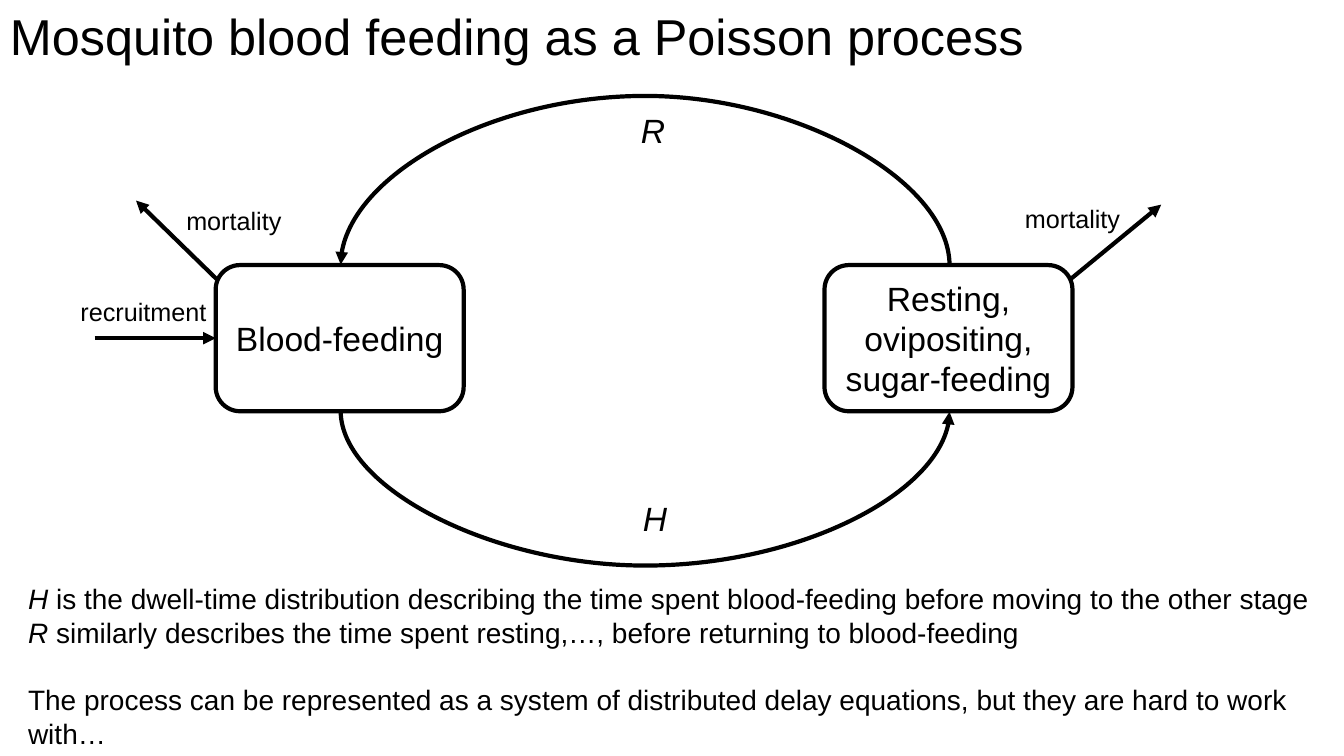
from dataclasses import dataclass

from lxml.etree import SubElement
from pptx import Presentation
from pptx.dml.color import RGBColor
from pptx.enum.shapes import MSO_CONNECTOR as Link, MSO_SHAPE as Preset
from pptx.enum.text import MSO_ANCHOR as Anchor, PP_ALIGN as Align
from pptx.oxml.ns import qn
from pptx.util import Inches, Pt


@dataclass(frozen=True)
class Theme:
    font: str = "Arial"
    ink: RGBColor = RGBColor(0, 0, 0)
    paper: RGBColor = RGBColor(255, 255, 255)
    title: int = 36
    stage: int = 24
    notes: int = 20
    label: int = 18
    stroke: int = 3


@dataclass(frozen=True)
class Box:
    """A region measured in columns and rows of the slide grid."""
    left: float
    top: float
    width: float
    height: float

    def inner(self, x, y, width, height):
        return Box(self.left + x, self.top + y, width, height)

    @property
    def right(self):
        return self.left + self.width

    @property
    def bottom(self):
        return self.top + self.height

    @property
    def center(self):
        return self.left + self.width / 2

    @property
    def middle(self):
        return self.top + self.height / 2

    def emu(self):
        return [cells(v) for v in (self.left, self.top, self.width, self.height)]


THEME = Theme()
COLUMNS, ROWS = 133.33, 75


def cells(count):
    """Length of a number of grid cells, ten to the inch."""
    return Inches(count / 10)


def add_run(paragraph, text, size, italic=False):
    run = paragraph.add_run()
    run.text = text
    font = run.font
    font.name, font.size, font.italic = THEME.font, Pt(size), italic
    font.color.rgb = THEME.ink


def add_text(slide, box, text, size, italic=False, wrap=True):
    frame = slide.shapes.add_textbox(*box.emu()).text_frame
    frame.word_wrap = wrap
    add_run(frame.paragraphs[0], text, size, italic)
    return frame


def add_arrow(slide, start, end, kind=Link.STRAIGHT):
    arrow = slide.shapes.add_connector(kind, *map(cells, (*start, *end)))
    arrow.line.color.rgb = THEME.ink
    arrow.line.width = Pt(THEME.stroke)
    properties = arrow._element.spPr
    SubElement(properties.find(qn("a:ln")), qn("a:tailEnd"), type="triangle")
    SubElement(properties, qn("a:effectLst"))
    return arrow


def add_loop(slide, center, y, span, depth, below):
    """Curve bulging down (left to right) or up (right to left)."""
    drop = 0.1
    left, right = center - drop / 2, center + drop / 2
    top, bottom = y - span / 2, y + span / 2
    start, end = ((right, top), (left, bottom)) if below else ((left, bottom), (right, top))
    properties = add_arrow(slide, start, end, Link.CURVE)._element.spPr
    properties.find(qn("a:xfrm")).set("rot", str(270 * 60000))
    guides = properties.find(qn("a:prstGeom")).find(qn("a:avLst"))
    bulge = round(depth / drop * 100000)
    SubElement(guides, qn("a:gd"), name="adj1", fmla=f"val {bulge}")


def add_stage(slide, box, text):
    stage = slide.shapes.add_shape(Preset.ROUNDED_RECTANGLE, *box.emu())
    stage.shadow.inherit = False
    stage.fill.solid()
    stage.fill.fore_color.rgb = THEME.paper
    stage.line.color.rgb = THEME.ink
    stage.line.width = Pt(THEME.stroke)
    frame = stage.text_frame
    frame.word_wrap = True
    frame.vertical_anchor = Anchor.MIDDLE
    frame.paragraphs[0].alignment = Align.CENTER
    add_run(frame.paragraphs[0], text, THEME.stage)


def add_title(slide, box):
    frame = add_text(slide, box, "Mosquito blood feeding as a Poisson process", THEME.title)
    frame.vertical_anchor = Anchor.MIDDLE
    frame.paragraphs[0].line_spacing = 0.9


def add_cycle(slide, box):
    # Two stages
    feeding = box.inner(14.4, 17.3, 24.6, 14.5)
    resting = box.inner(74.8, 17.3, 24.6, 14.5)
    add_stage(slide, feeding, "Blood-feeding")
    add_stage(slide, resting, "Resting, ovipositing, sugar-feeding")

    # Dwell-time loops between the stages
    center = (feeding.center + resting.center) / 2 + 0.1
    span = resting.left - feeding.left
    add_loop(slide, center, feeding.bottom, span, 15.6, below=True)
    add_loop(slide, center, feeding.top, span, 17.1, below=False)
    add_text(slide, box.inner(55.8, 39.9, 3.8, 5), "H", THEME.stage, italic=True)
    add_text(slide, box.inner(55.6, 1.4, 3.8, 5), "R", THEME.stage, italic=True)

    # Mortality and recruitment
    corner = feeding.top + 1.4
    add_arrow(slide, (feeding.left + 0.1, corner), (feeding.left - 7.9, corner - 7.8))
    add_arrow(slide, (resting.right - 0.2, corner), (resting.right + 8.8, corner - 7.4))
    add_arrow(slide, (feeding.left - 12, feeding.middle), (feeding.left, feeding.middle))
    for x, y, width, text in ((10.5, 10.9, 11.6, "mortality"),
                              (93.7, 10.7, 11.6, "mortality"),
                              (0, 19.9, 14.6, "recruitment")):
        add_text(slide, box.inner(x, y, width, 4), text, THEME.label, wrap=False)


def add_notes(slide, box):
    frame = add_text(slide, box, "H ", THEME.notes, italic=True)
    add_run(frame.paragraphs[0], "is the dwell-time distribution describing the time spent "
            "blood-feeding before moving to the other stage", THEME.notes)
    resting = frame.add_paragraph()
    add_run(resting, "R ", THEME.notes, italic=True)
    add_run(resting, "similarly describes the time spent resting,…, "
            "before returning to blood-feeding", THEME.notes)
    outlook = frame.add_paragraph()
    outlook.space_before = Pt(24)
    add_run(outlook, "The process can be represented as a system of distributed delay "
            "equations, but they are hard to work with…", THEME.notes)


def main():
    deck = Presentation()
    deck.slide_width, deck.slide_height = cells(COLUMNS), cells(ROWS)
    slide = deck.slides.add_slide(deck.slide_layouts[6])
    add_title(slide, Box(0, 0, 115, 7.7))
    add_cycle(slide, Box(7, 9, 110, 48))
    add_notes(slide, Box(1.8, 57.2, 129.7, 17.8))
    deck.save("out.pptx")


if __name__ == "__main__":
    main()
